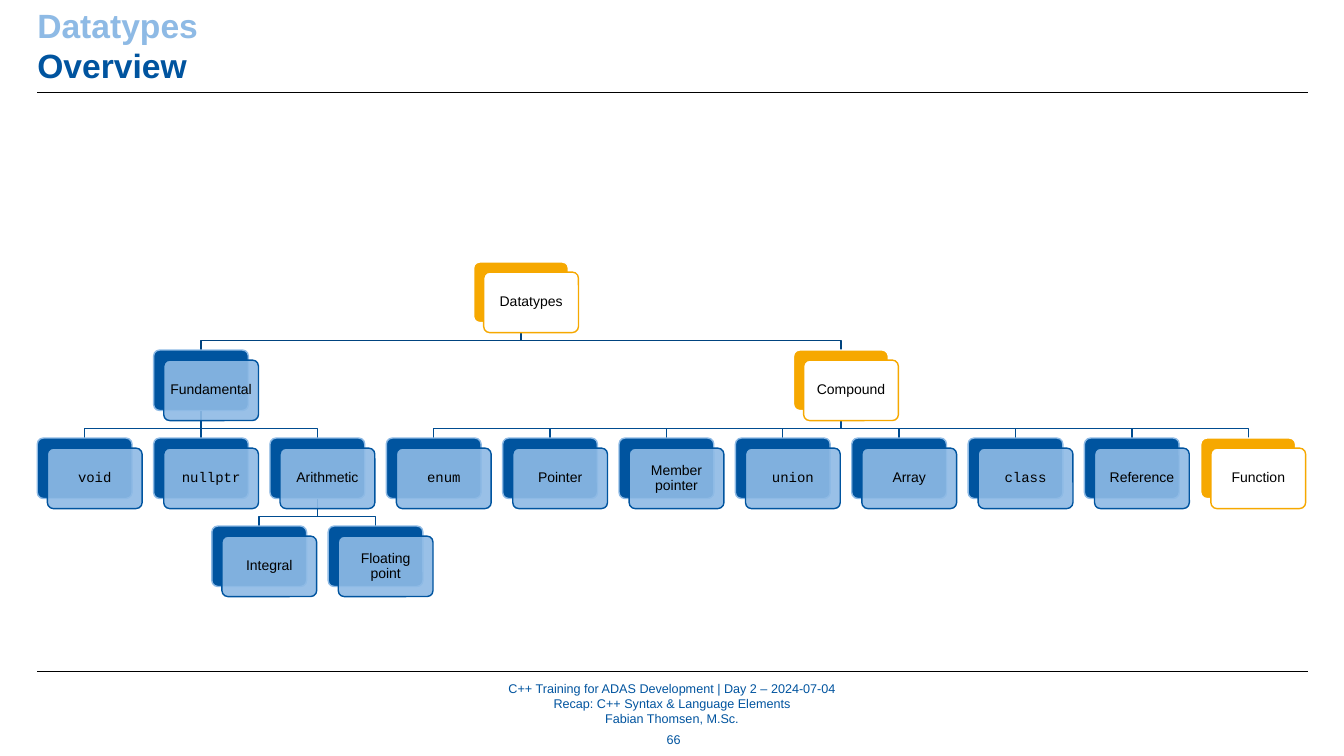
from dataclasses import dataclass

from lxml import etree
from pptx import Presentation
from pptx import util as u
from pptx.dml.color import RGBColor
from pptx.enum import shapes, text
from pptx.oxml.ns import qn

COLORS = {
    "blue": "00549F", "light": "8EBAE5", "orange": "F6A800", "white": "FFFFFF",
    "black": "000000", "root_link": "00437F", "link": "004C90",
}
SANS, MONO = "Arial", "Courier New"

# Tree grid, in inches
LEFT, TOP = 0.37, 2.6
COLUMN_STEP, LEVEL_STEP = 1.154, 0.873
CARD_W, CARD_H = 0.94, 0.6
CARD_OFFSET = 0.1
CARD_MARGIN = 0.04
ELBOW_DROP = 0.18


@dataclass(frozen=True)
class Datatype:
    label: str
    column: float
    level: int
    parent: str = ""
    font: str = SANS
    highlighted: bool = False

    @property
    def left(self) -> float:
        return LEFT + COLUMN_STEP * self.column

    @property
    def top(self) -> float:
        return TOP + LEVEL_STEP * self.level

    @property
    def center(self) -> float:
        return self.left + CARD_W / 2


@dataclass(frozen=True)
class Line:
    words: str
    color: str


DATATYPES = [
    Datatype("Datatypes", 3.75, 0, highlighted=True),
    Datatype("Fundamental", 1, 1, "Datatypes"),
    Datatype("void", 0, 2, "Fundamental", MONO),
    Datatype("nullptr", 1, 2, "Fundamental", MONO),
    Datatype("Arithmetic", 2, 2, "Fundamental"),
    Datatype("Integral", 1.5, 3, "Arithmetic"),
    Datatype("Floating point", 2.5, 3, "Arithmetic"),
    Datatype("Compound", 6.5, 1, "Datatypes", highlighted=True),
    Datatype("enum", 3, 2, "Compound", MONO),
    Datatype("Pointer", 4, 2, "Compound"),
    Datatype("Member pointer", 5, 2, "Compound"),
    Datatype("union", 6, 2, "Compound", MONO),
    Datatype("Array", 7, 2, "Compound"),
    Datatype("class", 8, 2, "Compound", MONO),
    Datatype("Reference", 9, 2, "Compound"),
    Datatype("Function", 10, 2, "Compound", highlighted=True),
]


def rgb(name: str) -> RGBColor:
    return RGBColor.from_string(COLORS[name])


def set_margins(frame, margin: float) -> None:
    frame.margin_left = frame.margin_right = u.Inches(margin)
    frame.margin_top = frame.margin_bottom = u.Inches(margin)


def add_lines(slide, box: tuple, lines: list[Line], size: int, bold=False,
              align=text.PP_ALIGN.LEFT, anchor=text.MSO_ANCHOR.TOP) -> None:
    frame = slide.shapes.add_textbox(*map(u.Inches, box)).text_frame
    frame.word_wrap = True
    frame.vertical_anchor = anchor
    set_margins(frame, 0)
    for i, line in enumerate(lines):
        paragraph = frame.add_paragraph() if i else frame.paragraphs[0]
        paragraph.text = line.words
        paragraph.alignment = align
        paragraph.font.name, paragraph.font.size = SANS, u.Pt(size)
        paragraph.font.bold = bold
        paragraph.font.color.rgb = rgb(line.color)


def add_rule(slide, y: float) -> None:
    rule = slide.shapes.add_connector(
        shapes.MSO_CONNECTOR.STRAIGHT,
        u.Inches(LEFT), u.Inches(y), u.Inches(12.97), u.Inches(y))
    rule.line.color.rgb = rgb("black")
    rule.line.width = u.Pt(0.5)
    etree.SubElement(rule._element.spPr, qn("a:effectLst"))


def add_link(slide, parent: Datatype, child: Datatype) -> None:
    start = parent.top + CARD_H
    bend = start + ELBOW_DROP
    builder = slide.shapes.build_freeform(u.Inches(parent.center), u.Inches(start))
    corners = [(parent.center, bend), (child.center, bend), (child.center, child.top)]
    builder.add_line_segments(
        [(u.Inches(x), u.Inches(y)) for x, y in corners], close=False)
    link = builder.convert_to_shape()
    link.shadow.inherit = False
    link.fill.background()
    link.line.color.rgb = rgb("link" if parent.parent else "root_link")
    link.line.width = u.Pt(1)


def add_card(slide, left: float, top: float, fill: str, outline: str):
    card = slide.shapes.add_shape(
        shapes.MSO_SHAPE.ROUNDED_RECTANGLE,
        *map(u.Inches, (left, top, CARD_W, CARD_H)))
    card.adjustments[0] = 0.1
    card.shadow.inherit = False
    card.fill.solid()
    card.fill.fore_color.rgb = rgb(fill)
    card.line.color.rgb = rgb(outline)
    card.line.width = u.Pt(1)
    return card


def add_datatype(slide, item: Datatype) -> None:
    back = ("orange", "white") if item.highlighted else ("blue", "light")
    front = ("white", "orange") if item.highlighted else ("light", "blue")
    add_card(slide, item.left, item.top, *back)
    label_card = add_card(
        slide, item.left + CARD_OFFSET, item.top + CARD_OFFSET, *front)

    # Highlighted cards stay opaque, the others let the back card through
    if not item.highlighted:
        tint = label_card._element.spPr.find(qn("a:solidFill"))[0]
        etree.SubElement(tint, qn("a:alpha"), val="90000")

    frame = label_card.text_frame
    frame.word_wrap = True
    frame.vertical_anchor = text.MSO_ANCHOR.MIDDLE
    set_margins(frame, CARD_MARGIN)
    label = frame.paragraphs[0]
    label.text = item.label
    label.alignment = text.PP_ALIGN.CENTER
    label.line_spacing = 0.9
    label.font.name, label.font.size = item.font, u.Pt(10)
    label.font.color.rgb = rgb("black")


def main() -> None:
    deck = Presentation()
    deck.slide_width, deck.slide_height = u.Inches(13.33), u.Inches(7.5)
    slide = deck.slides.add_slide(deck.slide_layouts[6])

    # Header and footer
    add_rule(slide, 0.92)
    add_rule(slide, 6.66)
    add_lines(slide, (LEFT, 0.05, 12.6, 0.81),
              [Line("Datatypes", "light"), Line("Overview", "blue")],
              24, bold=True)
    centered = {"align": text.PP_ALIGN.CENTER, "anchor": text.MSO_ANCHOR.MIDDLE}
    add_lines(slide, (3.43, 6.75, 6.47, 0.46), [
        Line("C++ Training for ADAS Development | Day 2 – 2024-07-04", "blue"),
        Line("Recap: C++ Syntax & Language Elements", "blue"),
        Line("Fabian Thomsen, M.Sc.", "blue"),
    ], 9, **centered)
    add_lines(slide, (6.42, 7.21, 0.52, 0.26), [Line("66", "blue")], 9, **centered)

    # Links lie behind the cards
    by_label = {item.label: item for item in DATATYPES}
    for item in DATATYPES:
        if item.parent:
            add_link(slide, by_label[item.parent], item)
    for item in DATATYPES:
        add_datatype(slide, item)

    deck.save("out.pptx")


if __name__ == "__main__":
    main()
